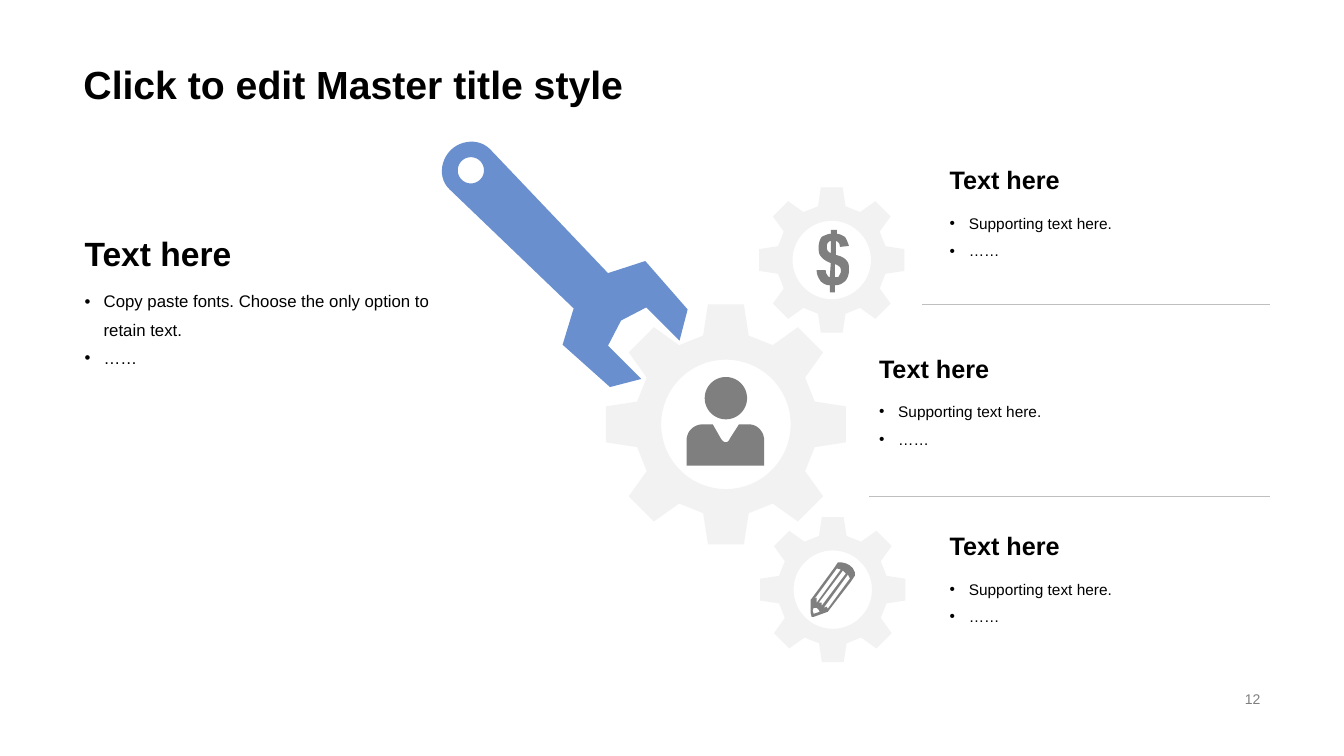
from math import cos, sin, tau
from lxml.etree import SubElement as Sub
from pptx import Presentation
from pptx.dml.color import RGBColor
from pptx.enum.shapes import MSO_CONNECTOR as Link
from pptx.enum.text import MSO_ANCHOR as Anchor, PP_ALIGN as Align
from pptx.oxml.ns import qn
from pptx.util import Inches, Pt

rgb = RGBColor.from_string
deck = Presentation()
deck.slide_width, deck.slide_height = Inches(13.33), Inches(7.5)
slide = deck.slides.add_slide(deck.slide_layouts[6])
shapes = slide.shapes


def draw(color, *paths):
    pen = None
    for path in paths:
        dots = []
        for step in path:
            if len(step) == 2:
                dots.append(step)
                continue
            a, b, c, d = dots[-1], step[:2], step[2:4], step[4:]
            for n in range(1, 13):
                t = n / 12
                u = 1 - t
                dots.append([u**3 * p + 3 * u * u * t * q + 3 * u * t * t * r + t**3 * s
                             for p, q, r, s in zip(a, b, c, d)])
        dots = [(Inches(x), Inches(y)) for x, y in dots]
        if pen is None:
            pen = shapes.build_freeform(*dots[0], scale=1.0)
        else:
            pen.move_to(*dots[0])
        pen.add_line_segments(dots[1:], close=True)
    shape = pen.convert_to_shape()
    shape.shadow.inherit = False
    shape.fill.solid()
    shape.fill.fore_color.rgb = rgb(color)
    shape.line.fill.background()


def write(place, lines, size, color="000000", bold=False, space=1.0,
          anchor=Anchor.TOP, align=Align.LEFT, dot=False):
    frame = shapes.add_textbox(*map(Inches, place)).text_frame
    frame.word_wrap = True
    frame.vertical_anchor = anchor
    for n, line in enumerate(lines):
        para = frame.add_paragraph() if n else frame.paragraphs[0]
        para.alignment, para.line_spacing = align, space
        run = para.add_run()
        run.text = line
        run.font.color.rgb = rgb(color)
        for key, val in dict(name="Arial", size=Pt(size), bold=bold).items():
            setattr(run.font, key, val)
        if dot:
            props = para._p.get_or_add_pPr()
            for key, val in dict(marL=Inches(0.19), indent=Inches(-0.19)).items():
                props.set(key, str(val))
            Sub(props, qn("a:buFont"), typeface="Arial")
            Sub(props, qn("a:buChar"), char="•")


write((0.73, 0, 11.87, 1.12), ["Click to edit Master title style"], 28,
      bold=True, space=0.9, anchor=Anchor.BOTTOM)
write((9.42, 6.82, 3.18, 0.23), ["12"], 10, "7F7F7F",
      anchor=Anchor.MIDDLE, align=Align.RIGHT)

ring = [(cos(tau * n / 60), sin(tau * n / 60)) for n in range(60)]
teeth = [(0.15, -1), (0.19, -0.74), (0.39, -0.66), (0.6, -0.81),
         (0.81, -0.6), (0.66, -0.39), (0.74, -0.19), (1, -0.15)]
gear = []
for turn in range(4):
    gear += teeth
    teeth = [(-y, x) for x, y in teeth]
hole = [(0.54 * x, 0.54 * y) for x, y in ring]
for left, top, size in [(8.26, 5.85, 0.72), (8.25, 2.58, 0.72), (7.2, 4.21, 1.19)]:
    draw("F2F2F2", *[[(left + size * x, top + size * y) for x, y in path]
                     for path in (gear, hole)])

head = [(7.2 + 0.21 * x, 3.95 + 0.21 * y) for x, y in ring]
body = [(6.97, 4.21), (7.07, 4.21), (7.15, 4.35), (7.18, 4.4, 7.22, 4.4, 7.24, 4.35),
        (7.33, 4.21), (7.43, 4.21), (7.51, 4.21, 7.58, 4.28, 7.58, 4.37),
        (7.58, 4.62), (6.81, 4.62), (6.81, 4.37), (6.81, 4.28, 6.88, 4.21, 6.97, 4.21)]
draw("7F7F7F", head, body)

wrench = [(6.36, 3.76), (6.05, 3.84), (5.58, 3.42), (5.69, 3.06), (4.46, 1.88),
          (4.35, 1.78, 4.36, 1.6, 4.47, 1.49), (4.57, 1.39, 4.75, 1.37, 4.86, 1.48),
          (6.03, 2.71), (6.4, 2.59), (6.82, 3.07), (6.74, 3.38), (6.41, 3.05),
          (6.16, 3.18), (6.03, 3.43)]
eye = [(4.67 + 0.13 * x, 1.69 + 0.13 * y) for x, y in ring]
draw("698FCE", wrench, eye)

dollar = [(8.23, 2.75), (8.24, 2.61), (8.19, 2.59, 8.16, 2.57, 8.14, 2.54),
          (8.12, 2.52, 8.12, 2.49, 8.12, 2.45), (8.12, 2.41, 8.13, 2.38, 8.15, 2.35),
          (8.17, 2.34, 8.21, 2.32, 8.24, 2.32), (8.24, 2.28), (8.3, 2.28), (8.3, 2.32),
          (8.33, 2.32, 8.36, 2.34, 8.38, 2.35), (8.4, 2.38, 8.41, 2.41, 8.42, 2.44),
          (8.33, 2.45), (8.33, 2.42, 8.32, 2.4, 8.29, 2.39), (8.29, 2.53),
          (8.34, 2.54, 8.38, 2.56, 8.4, 2.59), (8.42, 2.61, 8.42, 2.64, 8.42, 2.68),
          (8.42, 2.72, 8.41, 2.75, 8.39, 2.78), (8.36, 2.81, 8.33, 2.83, 8.28, 2.83),
          (8.28, 2.9), (8.23, 2.9), (8.23, 2.83), (8.19, 2.83, 8.16, 2.81, 8.14, 2.79),
          (8.12, 2.76, 8.1, 2.73, 8.1, 2.68), (8.19, 2.68),
          (8.19, 2.69, 8.19, 2.71, 8.2, 2.72), (8.21, 2.74, 8.22, 2.75, 8.23, 2.75)]
upper = [(8.24, 2.39), (8.23, 2.39, 8.22, 2.4, 8.21, 2.41),
         (8.2, 2.43, 8.2, 2.43, 8.2, 2.45), (8.2, 2.46, 8.2, 2.47, 8.21, 2.49),
         (8.21, 2.49, 8.23, 2.51, 8.24, 2.51)]
lower = [(8.28, 2.75), (8.3, 2.75, 8.32, 2.75, 8.32, 2.74),
         (8.33, 2.72, 8.34, 2.71, 8.34, 2.69), (8.34, 2.68, 8.34, 2.66, 8.33, 2.65),
         (8.32, 2.64, 8.31, 2.63, 8.28, 2.62)]
draw("7F7F7F", dollar, upper, lower)

pencil = [(8.43, 5.61), (8.39, 5.59), (8.35, 5.58), (8.31, 5.58), (8.27, 5.64),
          (8.05, 5.94), (8.04, 5.95), (8.04, 6.08), (8.05, 6.12), (8.07, 6.12),
          (8.21, 6.07), (8.44, 5.77), (8.48, 5.71), (8.48, 5.68), (8.46, 5.64)]
tip = [(8.13, 6.07), (8.07, 6.09), (8.06, 6.06), (8.07, 6.03), (8.1, 6.03), (8.12, 6.05)]
bars = [[(8.21, 6.04), (8.2, 6.02), (8.17, 6.03), (8.41, 5.7), (8.43, 5.74)],
        [(8.3, 5.64), (8.34, 5.65), (8.1, 5.98), (8.1, 5.93), (8.08, 5.94)],
        [(8.15, 6.01), (8.15, 5.98), (8.12, 5.98), (8.36, 5.66), (8.39, 5.69)]]
draw("7F7F7F", pencil, tip, *bars)

intro = "Copy paste fonts. Choose the only option to retain text."
note = "Supporting text here."
for left, top, wide, high, big, small, tight, space, line in [
        (0.74, 2.28, 3.93, 0.95, 24, 12, 0.9, 1.4, intro),
        (9.32, 1.5, 3.27, 0.77, 18, 11, 1.0, 1.5, note),
        (8.62, 3.37, 3.27, 0.77, 18, 11, 1.0, 1.5, note),
        (9.32, 5.13, 3.27, 0.77, 18, 11, 1.0, 1.5, note)]:
    write((left, top, wide, 0.48), ["Text here"], big,
          bold=True, space=tight, anchor=Anchor.BOTTOM)
    write((left, top + 0.48, wide, high), [line, "……"], small, space=space, dot=True)

for left, top in [(9.14, 3.02), (8.62, 4.93)]:
    rule = shapes.add_connector(Link.STRAIGHT, *map(Inches, (left, top, 12.6, top)))
    rule.line.color.rgb = rgb("BFBFBF")
    rule.line.width = Pt(0.75)
    Sub(rule._element.spPr, qn("a:effectLst"))

deck.save("out.pptx")
